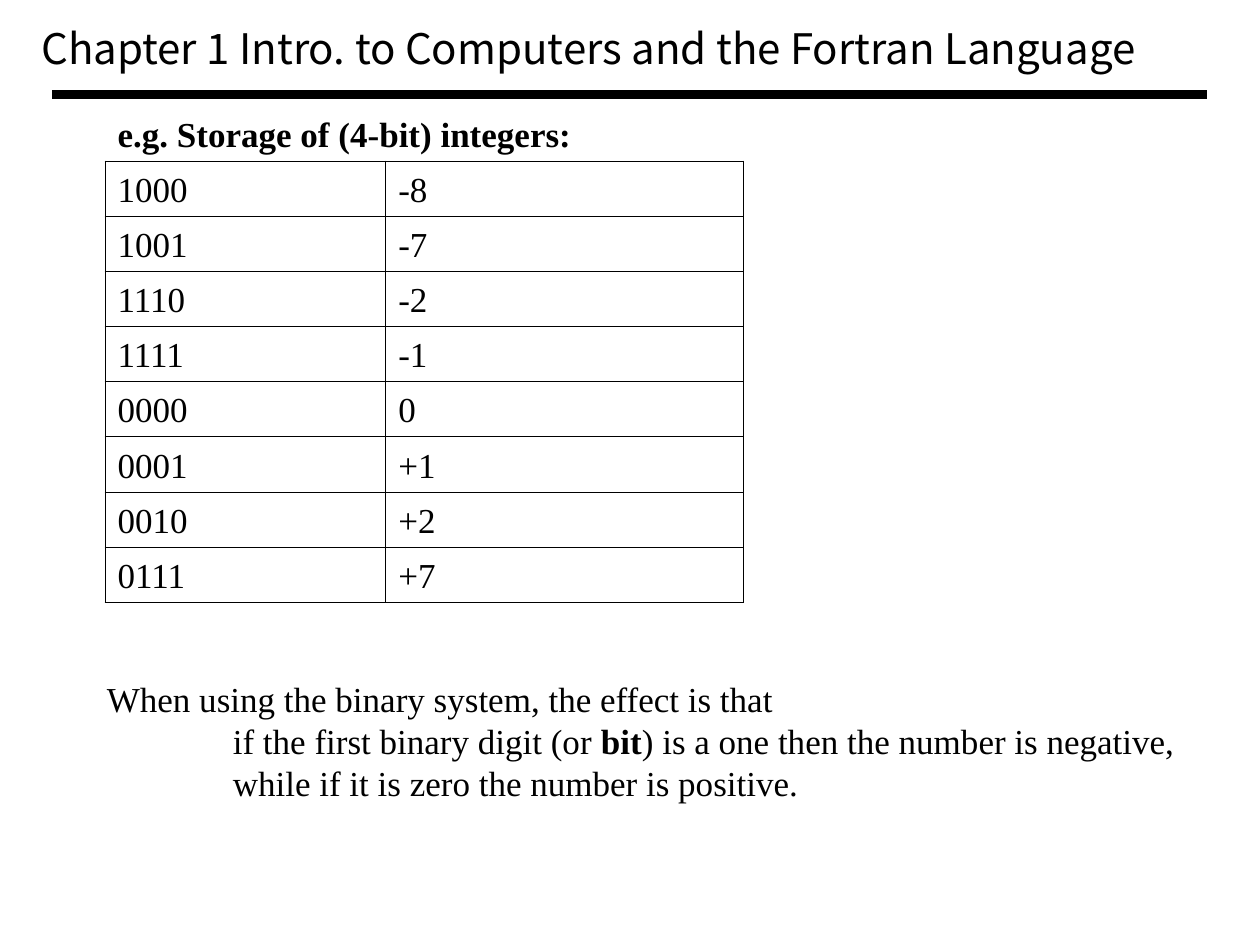
from lxml import etree
from pptx import Presentation
from pptx.dml.color import RGBColor
from pptx.enum import shapes, text
from pptx.oxml import ns
from pptx.util import Pt

COLORS = {"ink": "000000"}
TITLE_FONT = "Noto Sans CJK TC"
BODY_FONT = "Times New Roman"
PLAIN_TABLE = "{2D5ABB26-0587-4C30-8999-92F81FD0307C}"
INTEGERS = [
    ("1000", "-8"), ("1001", "-7"), ("1110", "-2"), ("1111", "-1"),
    ("0000", "0"), ("0001", "+1"), ("0010", "+2"), ("0111", "+7"),
]


def add_text(paragraph, content, font=BODY_FONT, size=20, bold=False, color="ink"):
    run = paragraph.add_run()
    run.text = content
    run.font.name = font
    run.font.size = Pt(size)
    run.font.bold = bold
    run.font.color.rgb = RGBColor.from_string(COLORS[color])


class SlideBuilder:
    def __init__(self, slide):
        self.slide = slide

    def rule(self, left, right, top, weight):
        line = self.slide.shapes.add_connector(
            shapes.MSO_CONNECTOR.STRAIGHT, Pt(left), Pt(top), Pt(right), Pt(top))
        line.line.width = Pt(weight)
        line.line.color.rgb = RGBColor.from_string(COLORS["ink"])
        etree.SubElement(line._element.spPr, ns.qn("a:effectLst"))

    def text_box(self, left, top, width, height, paragraphs, wrap=True,
                 anchor=text.MSO_ANCHOR.TOP, **style):
        box = self.slide.shapes.add_textbox(Pt(left), Pt(top), Pt(width), Pt(height))
        frame = box.text_frame
        frame.word_wrap = wrap
        frame.vertical_anchor = anchor
        for index, (indent, runs) in enumerate(paragraphs):
            paragraph = frame.add_paragraph() if index else frame.paragraphs[0]
            if indent:
                paragraph._p.get_or_add_pPr().set("marL", str(Pt(indent)))
            for content, bold in runs:
                add_text(paragraph, content, bold=bold, **style)

    def cell(self, cell, content, sides, bold=False):
        properties = cell._tc.get_or_add_tcPr()
        for side in sides:
            border = etree.SubElement(properties, ns.qn(f"a:ln{side}"), w=str(Pt(0.45)))
            fill = etree.SubElement(border, ns.qn("a:solidFill"))
            etree.SubElement(fill, ns.qn("a:srgbClr"), val=COLORS["ink"])
        cell.fill.background()
        cell.vertical_anchor = text.MSO_ANCHOR.BOTTOM
        if content:
            add_text(cell.text_frame.paragraphs[0], content, bold=bold)

    def table(self, left, top, widths, row_height, heading, rows):
        count = len(rows) + 1
        frame = self.slide.shapes.add_table(
            count, len(widths), Pt(left), Pt(top), Pt(sum(widths)), Pt(row_height * count))
        table = frame.table
        table.first_row = table.horz_banding = False
        table._tbl.tblPr.find(ns.qn("a:tableStyleId")).text = PLAIN_TABLE
        for column, width in zip(table.columns, widths):
            column.width = Pt(width)
        for row in table.rows:
            row.height = Pt(row_height)
        table.cell(0, 0).merge(table.cell(0, len(widths) - 1))
        for row, values in enumerate([(heading, "")] + rows):
            for column, value in enumerate(values):
                self.cell(table.cell(row, column), value,
                          sides="LRTB" if row else "B", bold=row == 0)


def main():
    presentation = Presentation()
    presentation.slide_width, presentation.slide_height = Pt(720), Pt(540)
    slide = SlideBuilder(presentation.slides.add_slide(presentation.slide_layouts[6]))

    slide.rule(30, 690, 54, 5.5)
    slide.text_box(
        16.5, 9.4, 655, 36,
        [(0, [("Chapter 1 Intro. to Computers and the Fortran Language", False)])],
        wrap=False, font=TITLE_FONT, size=24)
    slide.table(60, 60.5, [160.4, 204.6], 31.53, "e.g. Storage of (4-bit) integers:", INTEGERS)
    slide.text_box(
        54, 383.8, 628.6, 79.2,
        [(0, [("When using the binary system, the effect is that", False)]),
         (72, [("if the first binary digit (or ", False), ("bit", True),
               (") is a one then the number is negative, while if it is zero "
                "the number is positive.", False)])],
        anchor=text.MSO_ANCHOR.MIDDLE)

    presentation.save("out.pptx")


if __name__ == "__main__":
    main()
